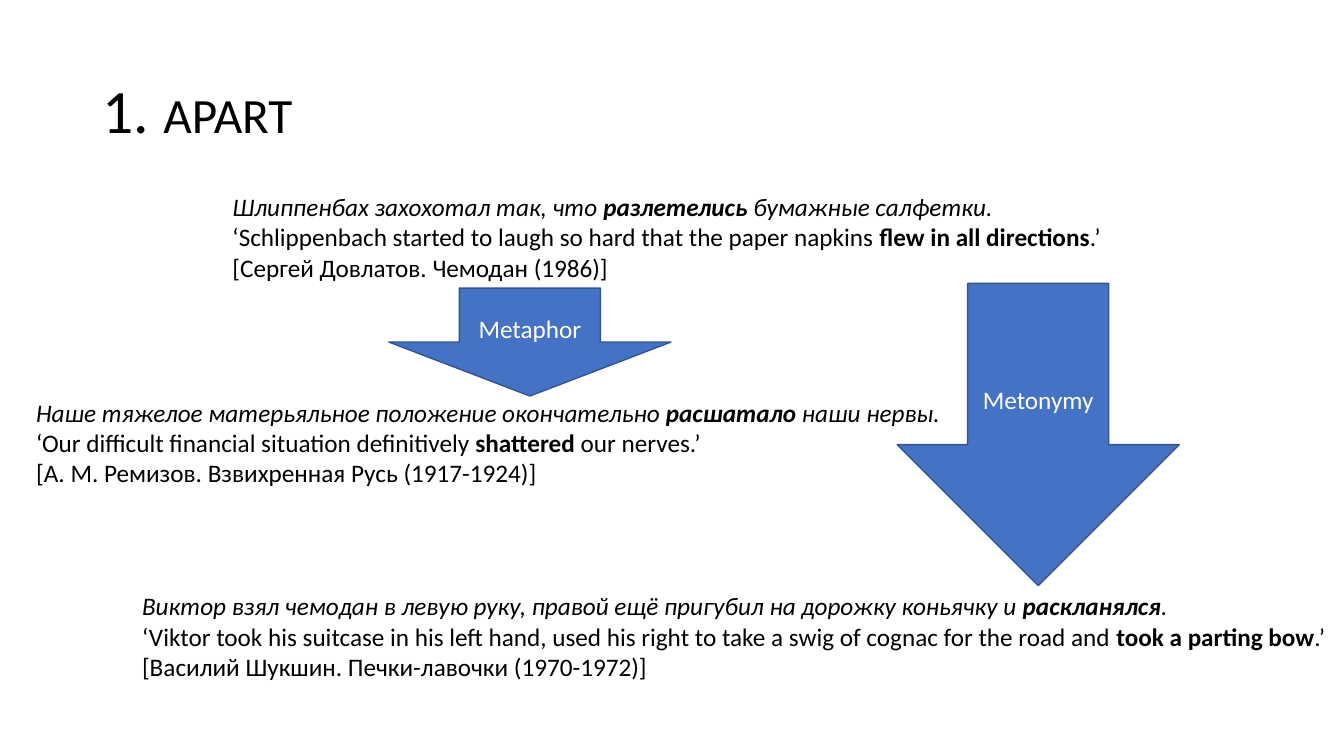
"""Build the APART slide: three quotations linked by two arrows."""
from pptx import Presentation
from pptx.dml.color import RGBColor
from pptx.enum import shapes, text
from pptx.util import Cm, Pt

HUES = {"ink": "000000", "fill": "4472C4", "edge": "325491", "pale": "FFFFFF"}
TITLE = ("1. ", "apart")
TITLE_BOX = (2.34, 1.02, 6.35, 3.68)
QUOTES = [
    ((0.66, 9.88, 23.8, 2.57),
     ("Наше тяжелое матерьяльное положение окончательно ", "расшатало", " наши нервы."),
     ("‘Our difficult financial situation definitively ", "shattered", " our nerves.’"),
     "[А. М. Ремизов. Взвихренная Русь (1917-1924)]"),
    ((5.61, 4.7, 22.63, 2.57),
     ("Шлиппенбах захохотал так, что ", "разлетелись", " бумажные салфетки."),
     ("‘Schlippenbach started to laugh so hard that the paper napkins ",
      "flew in all directions", ".’"),
     "[Сергей Довлатов. Чемодан (1986)]"),
    ((3.33, 14.76, 30.68, 2.57),
     ("Виктор взял чемодан в левую руку, правой ещё пригубил на дорожку коньячку и ",
      "раскланялся", "."),
     ("‘Viktor took his suitcase in his left hand, used his right to take a swig of "
      "cognac for the road and ", "took a parting bow", ".’"),
     "[Василий Шукшин. Печки-лавочки (1970-1972)]"),
]
ARROWS = [
    ("Metaphor", (9.8, 7.26, 7.11, 2.72)),
    ("Metonymy", (22.61, 7.14, 7.11, 7.62)),
]


def tint(name):
    return RGBColor.from_string(HUES[name])


def style(item, **looks):
    for key, value in looks.items():
        setattr(item, key, value)


def write(para, words, hue="ink", size=18, **looks):
    run = para.add_run()
    run.text = words
    style(run.font, name="Calibri", size=Pt(size), **looks)
    run.font.color.rgb = tint(hue)
    return run


def add_box(slide, place, **looks):
    frame = slide.shapes.add_textbox(*map(Cm, place)).text_frame
    style(frame, **looks)
    return frame


def add_title(slide):
    frame = add_box(slide, TITLE_BOX, word_wrap=True,
                    vertical_anchor=text.MSO_ANCHOR.MIDDLE)
    para = frame.paragraphs[0]
    para.line_spacing = 0.9
    runs = [write(para, words, size=44) for words in TITLE]
    runs[1]._r.get_or_add_rPr().set("cap", "small")


def add_quote(slide, place, native, gloss, source):
    frame = add_box(slide, place, word_wrap=False,
                    auto_size=text.MSO_AUTO_SIZE.SHAPE_TO_FIT_TEXT)
    para = frame.paragraphs[0]
    for parts, slant in ((native, True), (gloss, False)):
        for index, words in enumerate(parts):
            write(para, words, italic=slant, bold=index == 1)
        para = frame.add_paragraph()
    write(para, source)


def add_arrow(slide, label, place):
    arrow = slide.shapes.add_shape(shapes.MSO_SHAPE.DOWN_ARROW, *map(Cm, place))
    arrow.shadow.inherit = False
    arrow.fill.solid()
    arrow.fill.fore_color.rgb = tint("fill")
    arrow.line.color.rgb = tint("edge")
    arrow.line.width = Pt(1)
    frame = arrow.text_frame
    style(frame, word_wrap=True, vertical_anchor=text.MSO_ANCHOR.MIDDLE)
    para = frame.paragraphs[0]
    para.alignment = text.PP_ALIGN.CENTER
    write(para, label, "pale")


def main():
    deck = Presentation()
    style(deck, slide_width=Cm(33.87), slide_height=Cm(19.05))
    slide = deck.slides.add_slide(deck.slide_layouts[6])
    add_title(slide)
    for quote in QUOTES:
        add_quote(slide, *quote)
    for arrow in ARROWS:
        add_arrow(slide, *arrow)
    deck.save("out.pptx")


if __name__ == "__main__":
    main()
